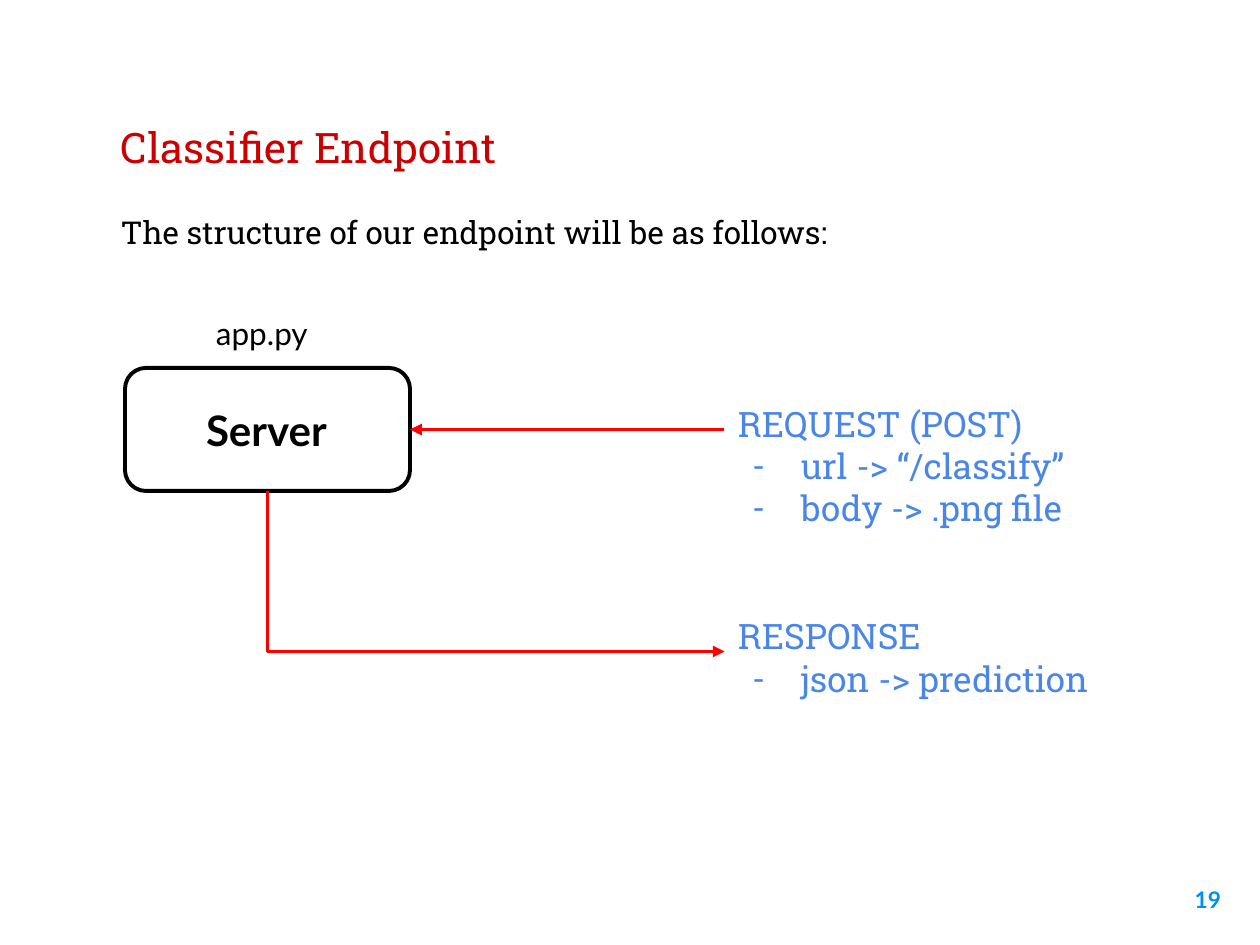
from lxml import etree
from pptx import Presentation
from pptx.dml.color import RGBColor
from pptx.enum.shapes import MSO_CONNECTOR, MSO_SHAPE
from pptx.enum.text import MSO_ANCHOR, PP_ALIGN
from pptx.oxml.ns import qn
from pptx.util import Pt

STRAIGHT, ELBOW = MSO_CONNECTOR.STRAIGHT, MSO_CONNECTOR.ELBOW
ROUNDED = MSO_SHAPE.ROUNDED_RECTANGLE
TOP, BOTTOM = MSO_ANCHOR.TOP, MSO_ANCHOR.BOTTOM
LEFT, RIGHT = PP_ALIGN.LEFT, PP_ALIGN.RIGHT
RIGHT_SIDE = 3
EMU_PER_PX = 914400 / 126
SLAB, LATO = "Roboto Slab", "Lato"
COLORS = {
    "title": "CC0000",
    "black": "000000",
    "message": "4A86E8",
    "arrow": "FF0000",
    "number": "0091EA",
}


def px(*lengths):
    return [round(length * EMU_PER_PX) for length in lengths]


def add_text(box, lines, font, size, color, bold=False, align=LEFT, anchor=TOP):
    """Add a text box; every line after the first is a dash item."""
    text_frame = slide.shapes.add_textbox(*px(*box)).text_frame
    text_frame.word_wrap = True
    text_frame.vertical_anchor = anchor
    text_frame.margin_left = text_frame.margin_right = px(13)[0]
    text_frame.margin_top = text_frame.margin_bottom = px(13)[0]
    text_frame.text = "\n".join(lines)
    for index, paragraph in enumerate(text_frame.paragraphs):
        paragraph.alignment = align
        run_font = paragraph.runs[0].font
        run_font.name, run_font.size, run_font.bold = font, Pt(size), bold
        run_font.color.rgb = RGBColor.from_string(COLORS[color])
        if index > 0:
            properties = paragraph._p.get_or_add_pPr()
            properties.set("marL", str(px(63)[0]))
            properties.set("indent", str(px(-49)[0]))
            bullet_color = etree.SubElement(properties, qn("a:buClr"))
            etree.SubElement(bullet_color, qn("a:srgbClr"), val=COLORS[color])
            etree.SubElement(properties, qn("a:buFont"), typeface=font)
            etree.SubElement(properties, qn("a:buChar"), char="-")


presentation = Presentation()
presentation.slide_width, presentation.slide_height = px(1260, 945)
slide = presentation.slides.add_slide(presentation.slide_layouts[6])

# Heading, introduction and slide number
add_text((108, 57, 1043, 128), ["Classifier Endpoint"], SLAB, 24, "title", anchor=BOTTOM)
add_text((108, 200, 1106, 129), ["The structure of our endpoint will be as follows:"],
         SLAB, 18, "black")
add_text((1158, 873, 76, 72), ["19"], LATO, 13, "number", bold=True, align=RIGHT)

# Request and response messages
add_text((725, 389, 479, 81),
         ["REQUEST (POST)", "url -> “/classify”", "body -> .png file"],
         SLAB, 20, "message")
add_text((725, 602, 479, 98), ["RESPONSE", "json -> prediction"], SLAB, 20, "message")

# Server box and its labels
server = slide.shapes.add_shape(ROUNDED, *px(125, 368, 285, 123))
server.adjustments[0] = 0.17
server.shadow.inherit = False
server.fill.background()
server.line.color.rgb = RGBColor.from_string(COLORS["black"])
server.line.width = Pt(2.25)
add_text((193, 391, 171, 81), ["Server"], LATO, 24, "black", bold=True)
add_text((203, 301, 242, 84), ["app.py"], LATO, 18, "black")

# Request arrow into the server
request_arrow = slide.shapes.add_connector(STRAIGHT, *px(724, 430, 410, 430))
request_arrow.end_connect(server, RIGHT_SIDE)
request_arrow.begin_y = request_arrow.end_y

# Response arrow: a single bend, turned so that it runs down and then right
response_arrow = slide.shapes.add_connector(ELBOW, *px(416, 343, 576, 800))
geometry = response_arrow._element.spPr.find(qn("a:prstGeom"))
geometry.set("prst", "bentConnector2")
transform = response_arrow._element.spPr.find(qn("a:xfrm"))
transform.set("rot", str(270 * 60000))
transform.set("flipH", "1")

# Shared arrow style
for arrow in (request_arrow, response_arrow):
    arrow.line.color.rgb = RGBColor.from_string(COLORS["arrow"])
    arrow.line.width = Pt(2.25)
    etree.SubElement(arrow.line._get_or_add_ln(), qn("a:tailEnd"), type="triangle")
    etree.SubElement(arrow._element.spPr, qn("a:effectLst"))

presentation.save("out.pptx")
